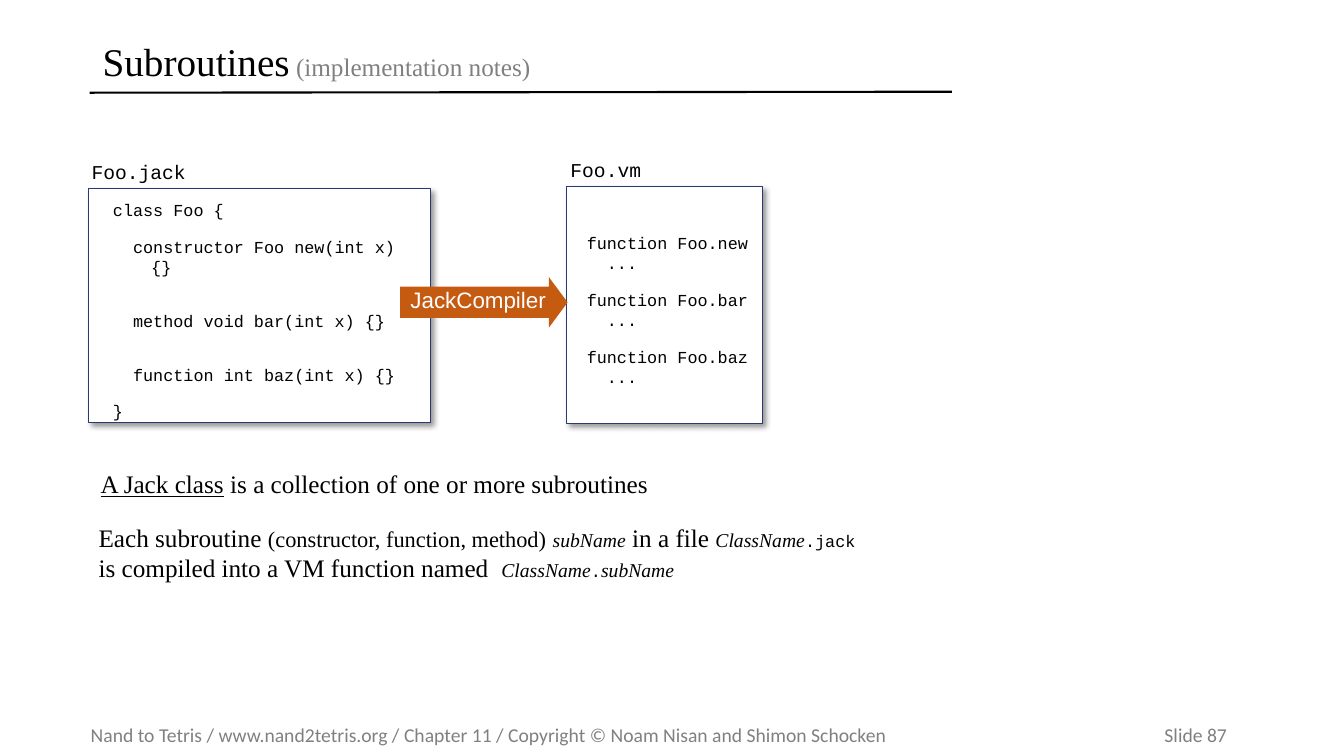
from lxml import etree
from pptx import Presentation
from pptx.dml.color import RGBColor
from pptx.enum.shapes import MSO_CONNECTOR, MSO_SHAPE
from pptx.enum.text import MSO_ANCHOR, PP_ALIGN
from pptx.oxml import parse_xml
from pptx.oxml.ns import nsdecls, qn
from pptx.util import Inches, Pt

LINE = MSO_CONNECTOR.STRAIGHT
RECTANGLE, ARROW = MSO_SHAPE.RECTANGLE, MSO_SHAPE.RIGHT_ARROW
TOP, MIDDLE, BOTTOM = MSO_ANCHOR.TOP, MSO_ANCHOR.MIDDLE, MSO_ANCHOR.BOTTOM
LEFT, CENTER = PP_ALIGN.LEFT, PP_ALIGN.CENTER

SERIF, MONO, SANS, FOOTER_FONT = "Times New Roman", "Courier New", "Arial", "Calibri"
BLACK, WHITE, GRAY = "000000", "FFFFFF", "808080"
NAVY, ORANGE = "293973", "C55A11"
HANGING = 0.38

JACK_CODE = [
    ("class Foo {", 0),
    ("  constructor Foo new(int x) {}", 12),
    ("  method void bar(int x) {}", 24),
    ("  function int baz(int x) {}", 24),
    ("}", 12),
]
VM_CODE = []
for name in ("new", "bar", "baz"):
    VM_CODE += [(f"function Foo.{name}", 12 if VM_CODE else 0), ("  ...", 0)]


def color(hex_text):
    return RGBColor.from_string(hex_text)


def set_frame(shape, insets=(0.1, 0.05, 0.1, 0.05), anchor=TOP, wrap=True):
    frame = shape.text_frame
    frame.word_wrap = wrap
    frame.vertical_anchor = anchor
    frame.margin_left, frame.margin_top, frame.margin_right, frame.margin_bottom = map(Inches, insets)
    return frame


def add_box(page, box, **frame_format):
    return set_frame(page.shapes.add_textbox(*map(Inches, box)), **frame_format)


def write(para, text, font=SERIF, size=18, fill=BLACK, italic=False, underline=False):
    span = para.add_run()
    span.text = text
    span.font.name = font
    span.font.size = Pt(size)
    span.font.color.rgb = color(fill)
    span.font.italic = italic
    span.font.underline = underline


def add_shadow(shape):
    shape.shadow.inherit = False
    effects = shape.fill._xPr.find(qn("a:effectLst"))
    effects.append(parse_xml(
        f'<a:outerShdw {nsdecls("a")} blurRad="{Pt(4)}" dist="{Pt(3)}" dir="2700000" algn="tl" rotWithShape="0">'
        '<a:srgbClr val="000000"><a:alpha val="40000"/></a:srgbClr></a:outerShdw>'))


def add_title(page, box):
    left, top, width, height = box
    para = add_box(page, box, anchor=MIDDLE).paragraphs[0]
    para.line_spacing = 0.9
    write(para, "Subroutines", size=28)
    write(para, " (implementation notes)", fill=GRAY)
    # Rule under the title
    rule = page.shapes.add_connector(
        LINE, Inches(left - 0.03), Inches(top + 0.6), Inches(left + width - 0.01), Inches(top + 0.59))
    rule.line.color.rgb = color(BLACK)
    rule.line.width = Pt(1.5)
    etree.SubElement(rule._element.spPr, qn("a:effectLst"))


def add_file_panel(page, box, file_name, label_shift, code, insets):
    left, top, width, height = box
    # File name above the panel
    label = add_box(page, (left + label_shift, top - 0.33, 1.6, 0.42))
    write(label.paragraphs[0], file_name, font=MONO, size=14)
    # Code listing
    panel = page.shapes.add_shape(RECTANGLE, *map(Inches, box))
    panel.fill.solid()
    panel.fill.fore_color.rgb = color(WHITE)
    panel.line.color.rgb = color(NAVY)
    panel.line.width = Pt(0.75)
    add_shadow(panel)
    frame = set_frame(panel, insets=insets)
    for index, (line, space) in enumerate(code):
        para = frame.add_paragraph() if index else frame.paragraphs[0]
        para.alignment = LEFT
        para.space_before = Pt(space)
        properties = para._p.get_or_add_pPr()
        properties.set("marL", str(Inches(HANGING)))
        properties.set("indent", str(-Inches(HANGING)))
        write(para, line, font=MONO, size=12)


def add_compiler_arrow(page, box):
    arrow = page.shapes.add_shape(ARROW, *map(Inches, box))
    arrow.adjustments[0], arrow.adjustments[1] = 0.62, 0.37
    arrow.shadow.inherit = False
    arrow.fill.solid()
    arrow.fill.fore_color.rgb = color(ORANGE)
    arrow.line.fill.background()
    para = set_frame(arrow, anchor=BOTTOM, wrap=False).paragraphs[0]
    para.alignment = CENTER
    write(para, "JackCompiler", font=SANS, size=16, fill=WHITE)


def add_notes(page, box):
    left, top, width, height = box
    para = add_box(page, (left + 0.02, top, width - 0.81, 0.48)).paragraphs[0]
    para.line_spacing = 0.9
    write(para, "A Jack class", underline=True)
    write(para, " is a collection of one or more subroutines")

    # Naming rule
    para = add_box(page, (left, top + 0.5, width, height - 0.5)).paragraphs[0]
    name = {"size": 14, "italic": True}
    code = {"font": MONO, "size": 12}
    write(para, "Each subroutine ")
    write(para, "(constructor, function, method)", size=16)
    write(para, " ")
    write(para, "subName", **name)
    write(para, " in a file ")
    write(para, "ClassName", **name)
    write(para, ".jack", **code)
    para.add_line_break()
    write(para, "is compiled into a VM function named  ")
    write(para, "ClassName", **name)
    write(para, ".", **code)
    write(para, "subName", **name)


def add_footer(page, box):
    para = add_box(page, box, insets=(0, 0.05, 0, 0.05), anchor=MIDDLE).paragraphs[0]
    # Right tab for the slide number
    tabs = etree.SubElement(para._p.get_or_add_pPr(), qn("a:tabLst"))
    etree.SubElement(tabs, qn("a:tab"), pos=str(Inches(11.27)), algn="r")
    write(para, "Nand to Tetris / www.nand2tetris.org / Chapter 11 / "
                "Copyright © Noam Nisan and Shimon Schocken\tSlide 87",
          font=FOOTER_FONT, size=14, fill=GRAY)


def main():
    deck = Presentation()
    deck.slide_width, deck.slide_height = Inches(13.33), Inches(7.5)
    page = deck.slides.add_slide(deck.slide_layouts[6])
    add_footer(page, (0.9, 7.12, 12.25, 0.34))
    add_title(page, (0.92, 0.32, 8.53, 0.63))
    add_file_panel(page, (0.88, 1.87, 3.39, 2.32), "Foo.jack", -0.07, JACK_CODE, (0.24, 0.11, 0.1, 0.11))
    add_file_panel(page, (5.62, 1.85, 1.94, 2.35), "Foo.vm", -0.06, VM_CODE, (0.2, 0.46, 0.1, 0.11))
    add_notes(page, (0.88, 4.63, 9, 1.34))
    add_compiler_arrow(page, (3.97, 2.75, 1.66, 0.5))
    deck.save("out.pptx")


if __name__ == "__main__":
    main()
